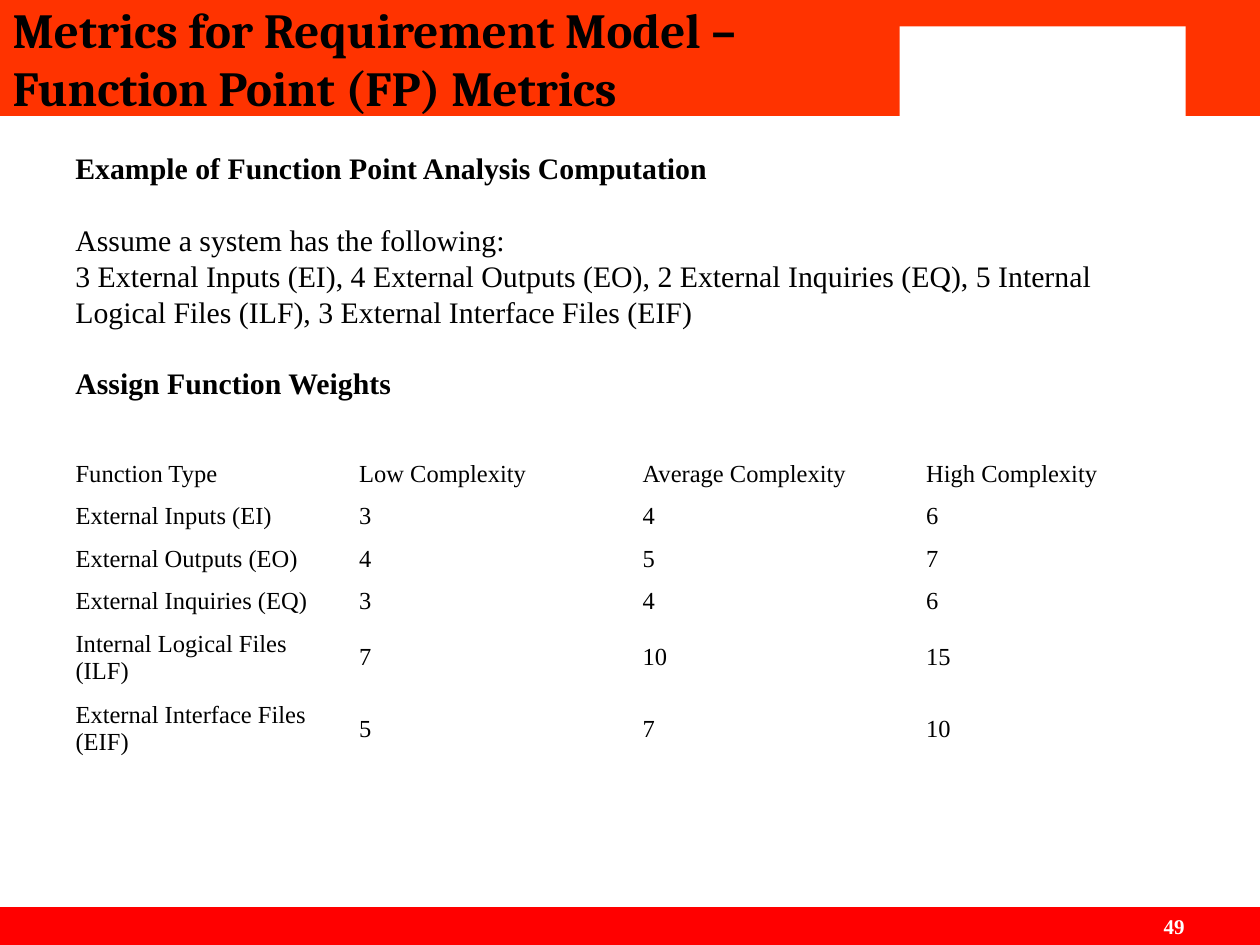
"""Build the function point metrics slide."""
from pptx import Presentation
from pptx.dml.color import RGBColor
from pptx.enum.shapes import MSO_SHAPE
from pptx.enum.text import MSO_ANCHOR, PP_ALIGN
from pptx.util import Inches, Pt

RECT = MSO_SHAPE.RECTANGLE
MIDDLE = MSO_ANCHOR.MIDDLE
LEFT, RIGHT = PP_ALIGN.LEFT, PP_ALIGN.RIGHT
ORANGE = RGBColor(0xFF, 0x33, 0x00)
RED = RGBColor(0xFF, 0x00, 0x00)
WHITE = RGBColor(0xFF, 0xFF, 0xFF)
BLACK = RGBColor(0x00, 0x00, 0x00)
SERIF = "Times New Roman"
BODY_LINE = Pt(20.5)

BANDS = [
    (0, 0, 10, 0.92, ORANGE),
    (0, 7.2, 10, 0.3, RED),
    (6.72, 0, 3.28, 0.92, ORANGE),
    (7.14, 0.21, 2.27, 0.75, WHITE),
]
BODY = [
    ("Example of Function Point Analysis Computation", True, 0),
    ("Assume a system has the following:", False, BODY_LINE),
    ("3 External Inputs (EI), 4 External Outputs (EO), 2 External Inquiries (EQ), "
     "5 Internal Logical Files (ILF), 3 External Interface Files (EIF)", False, 0),
    ("Assign Function Weights", True, BODY_LINE),
]
WEIGHTS = [
    ("Function Type", "Low Complexity", "Average Complexity", "High Complexity"),
    ("External Inputs (EI)", "3", "4", "6"),
    ("External Outputs (EO)", "4", "5", "7"),
    ("External Inquiries (EQ)", "3", "4", "6"),
    ("Internal Logical Files (ILF)", "7", "10", "15"),
    ("External Interface Files (EIF)", "5", "7", "10"),
]


def write(p, text, size, bold=False, color=BLACK, font=SERIF, align=LEFT):
    """Set and format the text of a paragraph."""
    p.text = text
    p.alignment = align
    f = p.runs[0].font
    f.name, f.size, f.bold = font, Pt(size), bold
    f.color.rgb = color


def add_band(s, x, y, w, h, color):
    """Add a plain filled rectangle."""
    sp = s.shapes.add_shape(RECT, Inches(x), Inches(y), Inches(w), Inches(h))
    sp.shadow.inherit = False
    sp.fill.solid()
    sp.fill.fore_color.rgb = color
    sp.line.fill.background()


def add_title(s, text):
    """Place the title in front of the header band."""
    sp = s.shapes.title
    sp.left, sp.top, sp.width, sp.height = 0, 0, Inches(7.08), Inches(0.92)
    sp.text_frame.vertical_anchor = MIDDLE
    write(sp.text_frame.paragraphs[0], text, 28, True, font="Cambria")
    s.shapes._spTree.append(sp._element)


def add_text_box(s, x, y, w, h):
    """Add a wrapping text box and return its text frame."""
    tf = s.shapes.add_textbox(Inches(x), Inches(y), Inches(w), Inches(h)).text_frame
    tf.word_wrap = True
    return tf


def add_page_number(s, number):
    """Add the page number in the footer band."""
    tf = add_text_box(s, 7.17, 7.25, 2.33, 0.2)
    tf.vertical_anchor = MIDDLE
    write(tf.paragraphs[0], number, 12, True, WHITE, align=RIGHT)


def add_body(s):
    """Add the example description."""
    tf = add_text_box(s, 0.5, 1.14, 9, 5.31)
    for i, (text, bold, gap) in enumerate(BODY):
        p = tf.add_paragraph() if i else tf.paragraphs[0]
        write(p, text, 17, bold)
        p.line_spacing = BODY_LINE
        p.space_before = gap


def add_weights_table(s):
    """Add the unfilled table of function weights."""
    rows, cols = len(WEIGHTS), len(WEIGHTS[0])
    table = s.shapes.add_table(rows, cols, Inches(0.5), Inches(3.6),
                               Inches(9), Inches(0.31 * rows)).table
    table.first_row = table.horz_banding = False
    for r, values in enumerate(WEIGHTS):
        for c, value in enumerate(values):
            cell = table.cell(r, c)
            cell.fill.background()
            cell.vertical_anchor = MIDDLE
            write(cell.text_frame.paragraphs[0], value, 14)


def main():
    """Build and save the slide."""
    prs = Presentation()
    prs.slide_width, prs.slide_height = Inches(10), Inches(7.5)
    s = prs.slides.add_slide(prs.slide_layouts[5])
    for band in BANDS:
        add_band(s, *band)
    add_title(s, "Metrics for Requirement Model – Function Point (FP) Metrics")
    add_page_number(s, "49")
    add_body(s)
    add_weights_table(s)
    prs.save("out.pptx")


if __name__ == "__main__":
    main()
